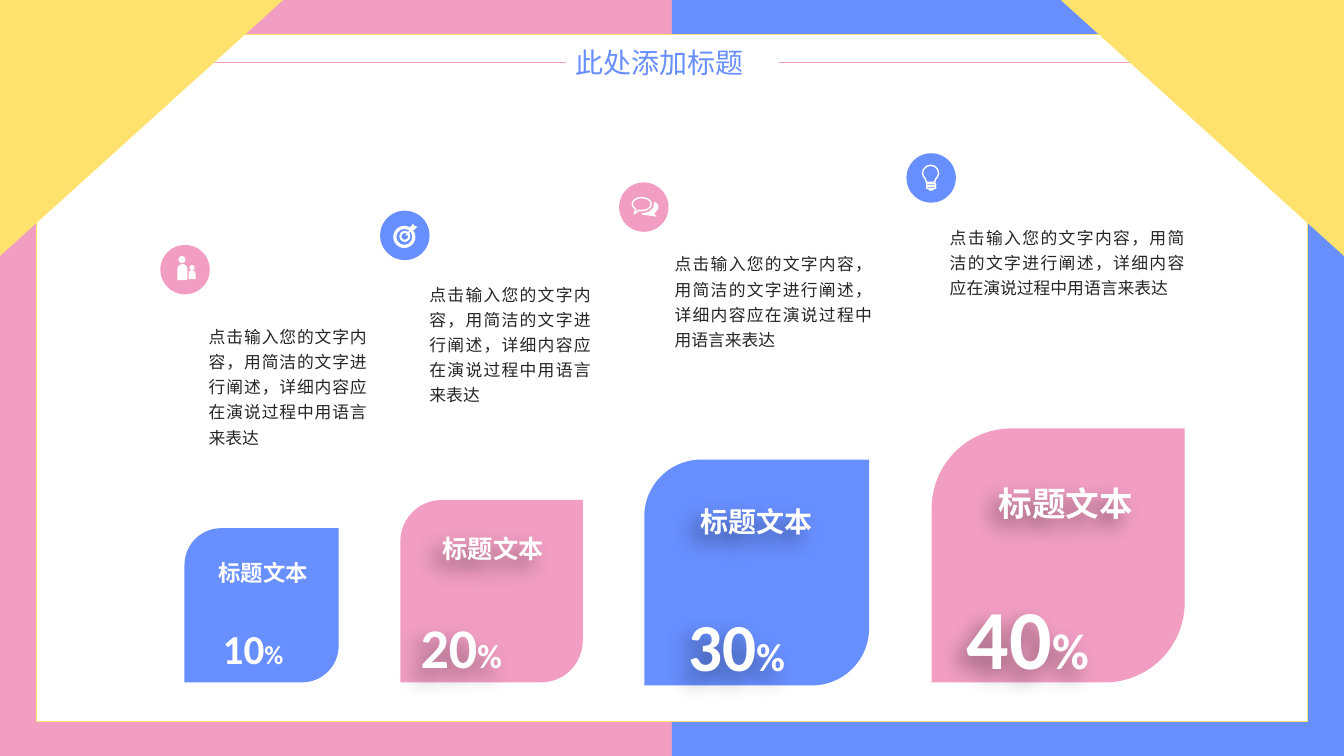
from lxml import etree
from pptx import Presentation
from pptx.dml.color import RGBColor
from pptx.enum.shapes import MSO_CONNECTOR, MSO_SHAPE
from pptx.enum.text import MSO_ANCHOR, MSO_AUTO_SIZE, PP_ALIGN
from pptx.oxml import parse_xml
from pptx.oxml.ns import nsdecls, qn
from pptx.util import Inches, Pt

RECT, OVAL, DONUT = MSO_SHAPE.RECTANGLE, MSO_SHAPE.OVAL, MSO_SHAPE.DONUT
LEAF, ARCH = MSO_SHAPE.ROUND_2_DIAG_RECTANGLE, MSO_SHAPE.ROUND_2_SAME_RECTANGLE
BUBBLE, PILL = MSO_SHAPE.OVAL_CALLOUT, MSO_SHAPE.ROUNDED_RECTANGLE
TRIANGLE = MSO_SHAPE.RIGHT_TRIANGLE
PINK, BLUE, YELLOW, WHITE, DARK = "F19EC2", "688FFF", "FFE26D", "FFFFFF", "262626"
WIDTH, HEIGHT = 13.33, 7.5
BADGE = 0.49
BODY = "点击输入您的文字内容，用简洁的文字进行阐述，详细内容应在演说过程中用语言来表达"
SHADOW = (
    f'<a:effectLst {nsdecls("a")}><a:outerShdw blurRad="190500" dist="114300" dir="8100000" '
    'algn="tr" rotWithShape="0"><a:srgbClr val="000000"><a:alpha val="40000"/></a:srgbClr>'
    '</a:outerShdw></a:effectLst>'
)

deck = Presentation()
deck.slide_width, deck.slide_height = Inches(WIDTH), Inches(HEIGHT)
page = deck.slides.add_slide(deck.slide_layouts[5])
page.background.fill.solid()
page.background.fill.fore_color.rgb = RGBColor.from_string(PINK)


def paint(shape, fill=None, line=None, points=1):
    shape.shadow.inherit = False
    if fill:
        shape.fill.solid()
        shape.fill.fore_color.rgb = RGBColor.from_string(fill)
    else:
        shape.fill.background()
    if line:
        shape.line.color.rgb = RGBColor.from_string(line)
        shape.line.width = Pt(points)
    else:
        shape.line.fill.background()


def write(box, spans, color, align, bold=False):
    """Fill the box with one paragraph of (text, size) spans."""
    box.text_frame.word_wrap = True
    para = box.text_frame.paragraphs[0]
    para.alignment = align
    for text, size in spans:
        span = para.add_run()
        span.text = text
        span.font.name, span.font.size, span.font.bold = "Calibri", Pt(size), bold
        span.font.color.rgb = RGBColor.from_string(color)
    return para


# Frame
half = page.shapes.add_shape(RECT, Inches(WIDTH / 2), 0, Inches(WIDTH / 2), Inches(HEIGHT))
paint(half, BLUE)
panel = page.shapes.add_shape(RECT, Inches(0.36), Inches(0.34), Inches(12.61), Inches(6.82))
paint(panel, WHITE, YELLOW)

# Title between two rules, brought in front of the panel
title = page.shapes.title
panel._element.addnext(title._element)
title.left, title.top, title.width, title.height = map(Inches, (5.61, 0.4, 2.12, 0.44))
title.text_frame.vertical_anchor = MSO_ANCHOR.TOP
write(title, [("此处添加标题", 20)], BLUE, PP_ALIGN.JUSTIFY)
title.text_frame.auto_size = MSO_AUTO_SIZE.SHAPE_TO_FIT_TEXT
for start, end in ((0, 5.61), (7.73, WIDTH)):
    rule = page.shapes.add_connector(
        MSO_CONNECTOR.STRAIGHT, Inches(start), Inches(0.62), Inches(end), Inches(0.62))
    rule.line.color.rgb = RGBColor.from_string(PINK)
    rule.line.width = Pt(0.5)
    etree.SubElement(rule._element.spPr, qn("a:effectLst"))

# Cards: colour, rounding, card box, heading size and box, number, its sizes and box, body box
cards = [
    (BLUE, 0.238, (1.83, 5.24, 1.53, 1.53), 16, (2.05, 5.55, 1.12, 0.27),
     "10", 29.4, 18.6, (1.95, 6.21, 1.12, 0.44), (2.07, 3.19, 1.57, 1.26)),
    (PINK, 0.228, (3.97, 4.96, 1.81, 1.81), 18, (4.22, 5.29, 1.34, 0.31),
     "20", 40, 24, (4.06, 6.13, 1.03, 0.56), (4.26, 2.77, 1.6, 1.26)),
    (BLUE, 0.254, (6.39, 4.56, 2.23, 2.24), 20, (6.8, 4.97, 1.4, 0.4),
     "30", 48, 28, (6.49, 6.12, 1.63, 0.56), (6.69, 2.47, 1.96, 1.01)),
    (PINK, 0.316, (9.24, 4.25, 2.51, 2.52), 24, (9.62, 4.77, 1.9, 0.45),
     "40", 60, 36, (9.4, 6.03, 1.59, 0.56), (9.42, 2.21, 2.33, 0.76)),
]
for (color, rounding, card_box, heading_size, heading_box,
     number, number_size, percent_size, number_box, body_box) in cards:
    card = page.shapes.add_shape(LEAF, *map(Inches, card_box))
    card.adjustments[0] = rounding
    paint(card, color)

    body = page.shapes.add_textbox(*map(Inches, body_box))
    frame = body.text_frame
    frame.margin_left = frame.margin_top = frame.margin_right = frame.margin_bottom = 0
    write(body, [(BODY, 12)], DARK, PP_ALIGN.JUSTIFY).line_spacing = Pt(18)
    frame.auto_size = MSO_AUTO_SIZE.SHAPE_TO_FIT_TEXT

    labels = [(heading_box, [("标题文本", heading_size)]),
              (number_box, [(number, number_size), ("%", percent_size)])]
    for place, spans in labels:
        label = page.shapes.add_textbox(*map(Inches, place))
        label.text_frame.vertical_anchor = MSO_ANCHOR.MIDDLE
        write(label, spans, WHITE, PP_ALIGN.CENTER, bold=True)
        if number != "10":
            label._element.spPr.append(parse_xml(SHADOW))

# Badges: colour, corner, preset parts (kind, box, adjustments, filled),
# outlines (filled, points in hundredths of an inch from the corner)
badges = [
    (PINK, (1.59, 2.43), [
        (OVAL, (0.18, 0.11, 0.07, 0.07), [], True),
        (ARCH, (0.17, 0.19, 0.1, 0.16), [0.5], True),
        (OVAL, (0.29, 0.2, 0.05, 0.05), [], True),
        (ARCH, (0.28, 0.25, 0.07, 0.09), [0.5], True)], []),
    (BLUE, (3.77, 2.09), [
        (DONUT, (0.13, 0.15, 0.22, 0.22), [0.14], True),
        (DONUT, (0.19, 0.2, 0.11, 0.11), [0.2], True)], [
        (True, [(25, 25), (30, 18), (30, 16), (33, 13), (34, 15),
                (37, 16), (34, 19), (32, 19), (26, 25)])]),
    (PINK, (6.14, 1.81), [
        (BUBBLE, (0.13, 0.15, 0.19, 0.13), [-0.39, 0.75], False)], [
        (True, [(35, 19), (39, 22), (39, 26), (35, 31), (37, 34),
                (31, 33), (23, 32), (22, 31), (30, 29), (34, 25)])]),
    (BLUE, (8.99, 1.52), [
        (PILL, (0.2, 0.3, 0.09, 0.02), [0.5], False),
        (PILL, (0.2, 0.33, 0.09, 0.02), [0.5], False),
        (PILL, (0.22, 0.35, 0.05, 0.02), [0.5], True)], [
        (False, [(20, 29), (19, 26), (17, 23), (16, 20), (17, 16), (20, 13), (24, 12),
                 (28, 13), (31, 16), (32, 20), (31, 23), (29, 26), (28, 29)])]),
]
for color, (left, top), parts, outlines in badges:
    disc = page.shapes.add_shape(
        OVAL, Inches(left), Inches(top), Inches(BADGE), Inches(BADGE))
    paint(disc, color)
    for kind, (dx, dy, width, height), adjustments, filled in parts:
        part = page.shapes.add_shape(
            kind, Inches(left + dx), Inches(top + dy), Inches(width), Inches(height))
        for index, value in enumerate(adjustments):
            part.adjustments[index] = value
        paint(part, WHITE if filled else None, None if filled else WHITE)
    for filled, points in outlines:
        corners = [(round(left * 100) + x, round(top * 100) + y) for x, y in points]
        builder = page.shapes.build_freeform(*corners[0], scale=Inches(0.01))
        builder.add_line_segments(corners[1:], close=True)
        paint(builder.convert_to_shape(), WHITE if filled else None, None if filled else WHITE)

# Yellow corners
for left, flips in ((0, ["flipV"]), (WIDTH - 2.81, ["flipH", "flipV"])):
    corner = page.shapes.add_shape(TRIANGLE, Inches(left), 0, Inches(2.81), Inches(2.54))
    paint(corner, YELLOW)
    for flip in flips:
        corner._element.spPr.find(qn("a:xfrm")).set(flip, "1")

deck.save("out.pptx")
